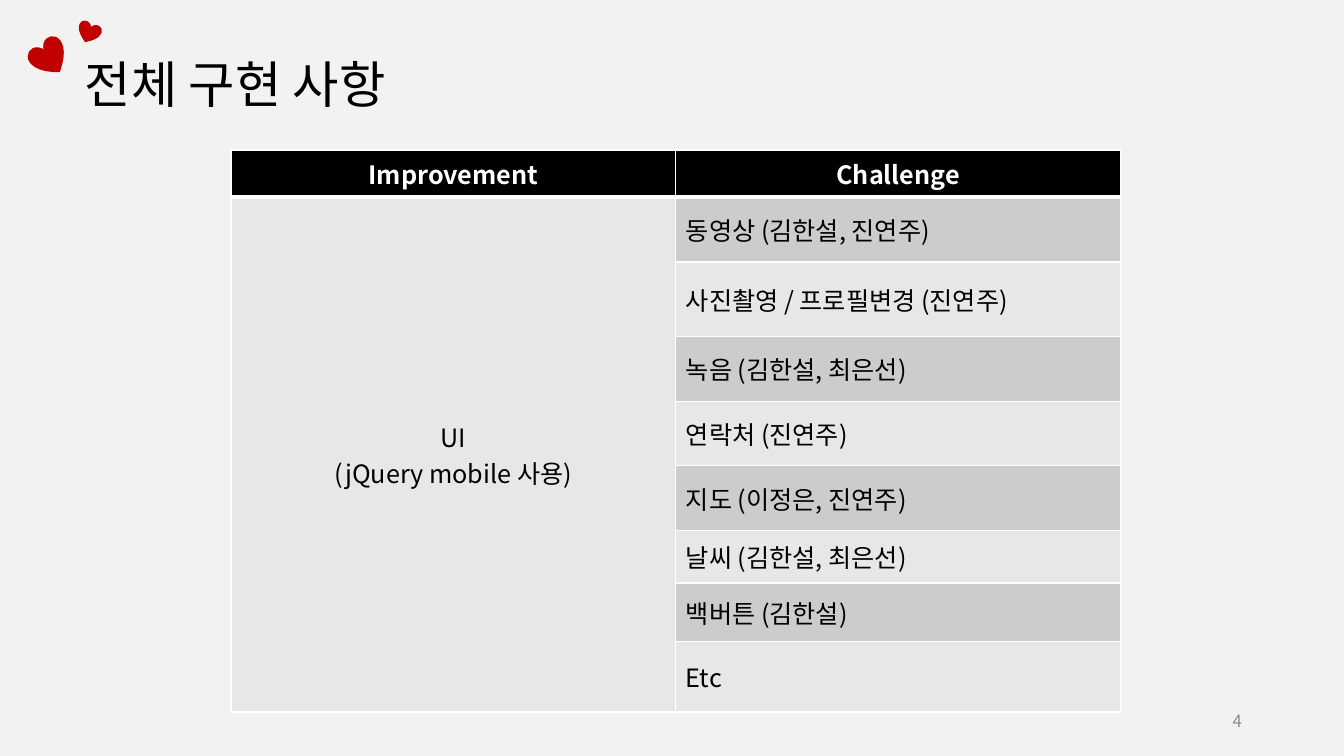
from lxml.etree import SubElement
from pptx import Presentation
from pptx.dml.color import RGBColor
from pptx.enum.shapes import MSO_SHAPE
from pptx.enum.text import MSO_ANCHOR, PP_ALIGN
from pptx.oxml.ns import qn
from pptx.util import Cm, Pt

TITLE = "전체 구현 사항"
HEADERS = ("Improvement", "Challenge")
IMPROVEMENT = "UI\n(jQuery mobile 사용)"
CHALLENGES = [  # text, row height in cm
    ("동영상 (김한설, 진연주)", 1.63),
    ("사진촬영 / 프로필변경 (진연주)", 1.88),
    ("녹음 (김한설, 최은선)", 1.63),
    ("연락처 (진연주)", 1.63),
    ("지도 (이정은, 진연주)", 1.63),
    ("날씨 (김한설, 최은선)", 1.32),
    ("백버튼 (김한설)", 1.47),
    ("Etc", 1.78),
]
HEARTS = [  # left, top, width, height in cm, rotation
    (0.79, 1.02, 0.91, 0.86, 324.8),
    (1.96, 0.58, 0.56, 0.48, 21.6),
]
PAGE = "4"

FONT = "Noto Sans CJK KR"
COLORS = {"back": "F2F2F2", "black": "000000", "white": "FFFFFF", "dark": "CCCCCC",
          "light": "E7E7E7", "heart": "C00000", "page": "8C8C8C"}
HEADER_H, COL_W = 1.19, 11.21


def rgb(name):
    return RGBColor.from_string(COLORS[name])


def write(tf, text, size, color="black", align=PP_ALIGN.LEFT, bold=False):
    tf.text = text
    for p in tf.paragraphs:
        p.alignment = align
        for r in p.runs:
            r.font.name, r.font.size, r.font.bold = FONT, Pt(size), bold
            r.font.color.rgb = rgb(color)
            SubElement(r.font._element, qn("a:ea"), typeface=FONT)


def set_borders(cell, top, bottom):
    """White cell borders, widths in points; they must come before the fill."""
    tcPr = cell._tc.get_or_add_tcPr()
    for i, (side, width) in enumerate(zip("LRTB", (1, 1, top, bottom))):
        ln = SubElement(tcPr, qn(f"a:ln{side}"), w=str(Pt(width)))
        SubElement(SubElement(ln, qn("a:solidFill")), qn("a:srgbClr"), val=COLORS["white"])
        tcPr.insert(i, ln)


def fill_cell(cell, text, fill, **style):
    cell.fill.solid()
    cell.fill.fore_color.rgb = rgb(fill)
    cell.vertical_anchor = MSO_ANCHOR.MIDDLE
    write(cell.text_frame, text, 18, **style)


prs = Presentation()
prs.slide_width, prs.slide_height = Cm(33.87), Cm(19.05)
s = prs.slides.add_slide(prs.slide_layouts[5])
s.background.fill.solid()
s.background.fill.fore_color.rgb = rgb("back")

title = s.shapes.title
title.left, title.top, title.width, title.height = Cm(1.88), Cm(1.19), Cm(9.88), Cm(1.8)
title.text_frame.word_wrap = False
title.text_frame.vertical_anchor = MSO_ANCHOR.MIDDLE
write(title.text_frame, TITLE, 36)

heights = [HEADER_H] + [h for _, h in CHALLENGES]
table = s.shapes.add_table(len(heights), 2, Cm(5.82), Cm(3.78),
                           Cm(2 * COL_W), Cm(sum(heights))).table
for col, header in enumerate(HEADERS):
    table.columns[col].width = Cm(COL_W)
    fill_cell(table.cell(0, col), header, "black", color="white",
              align=PP_ALIGN.CENTER, bold=True)
for row, (text, _) in enumerate(CHALLENGES, 1):
    fill_cell(table.cell(row, 1), text, "dark" if row % 2 else "light")
table.cell(1, 0).merge(table.cell(len(CHALLENGES), 0))
fill_cell(table.cell(1, 0), IMPROVEMENT, "light", align=PP_ALIGN.CENTER)
for row, height in enumerate(heights):
    table.rows[row].height = Cm(height)
    for col in range(2):
        set_borders(table.cell(row, col), 3 if row == 1 else 1, 3 if row == 0 else 1)

for left, top, width, height, angle in HEARTS:
    heart = s.shapes.add_shape(MSO_SHAPE.HEART, Cm(left), Cm(top), Cm(width), Cm(height))
    heart.rotation = angle
    heart.shadow.inherit = False
    heart.fill.solid()
    heart.fill.fore_color.rgb = heart.line.color.rgb = rgb("heart")
    heart.line.width = Pt(1)

tf = s.shapes.add_textbox(Cm(23.93), Cm(17.65), Cm(7.62), Cm(1.02)).text_frame
tf.word_wrap = True
tf.vertical_anchor = MSO_ANCHOR.MIDDLE
write(tf, PAGE, 12, "page", PP_ALIGN.RIGHT)

prs.save("out.pptx")
